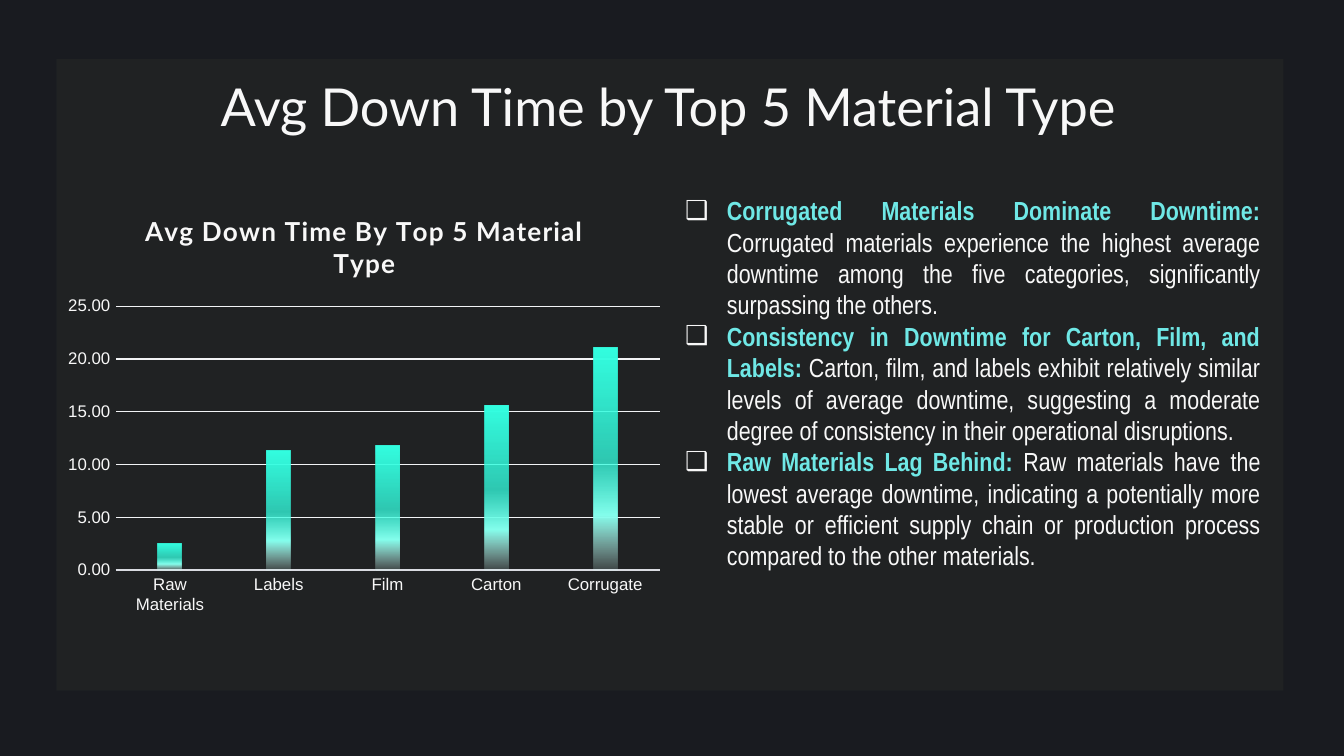
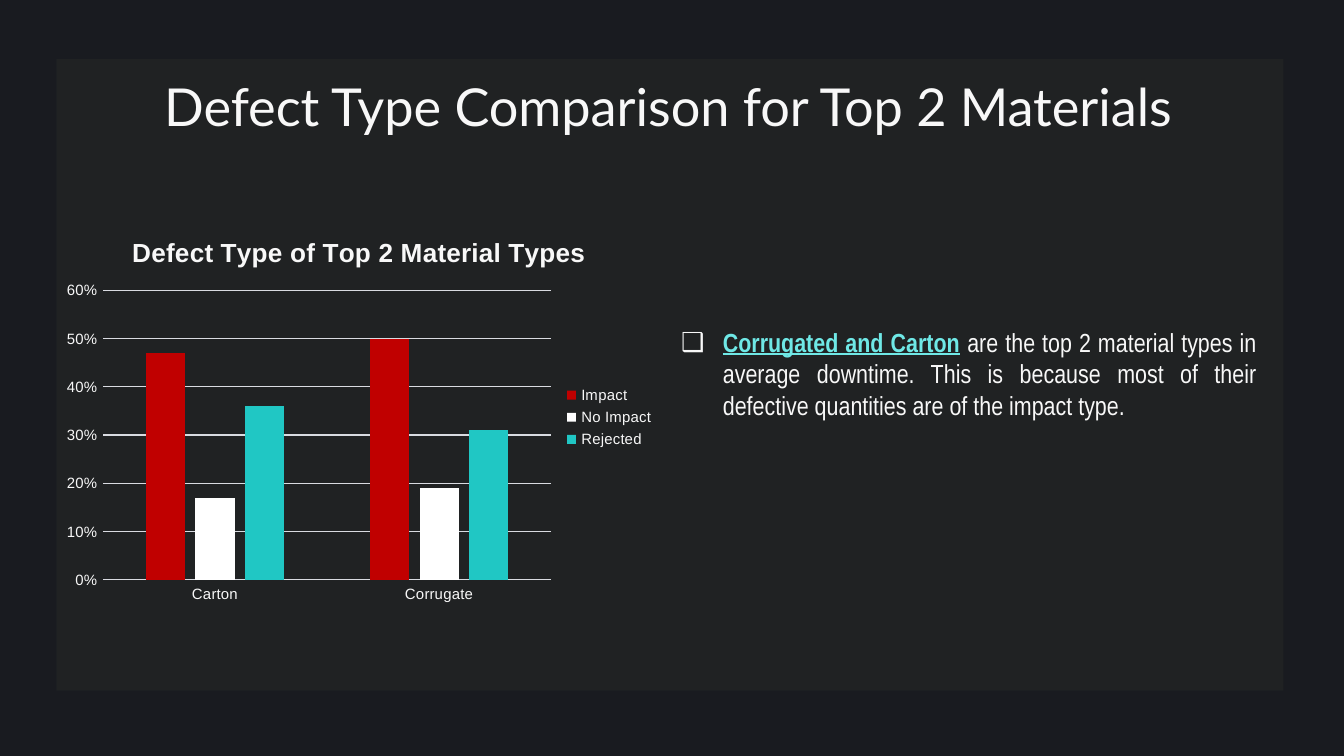
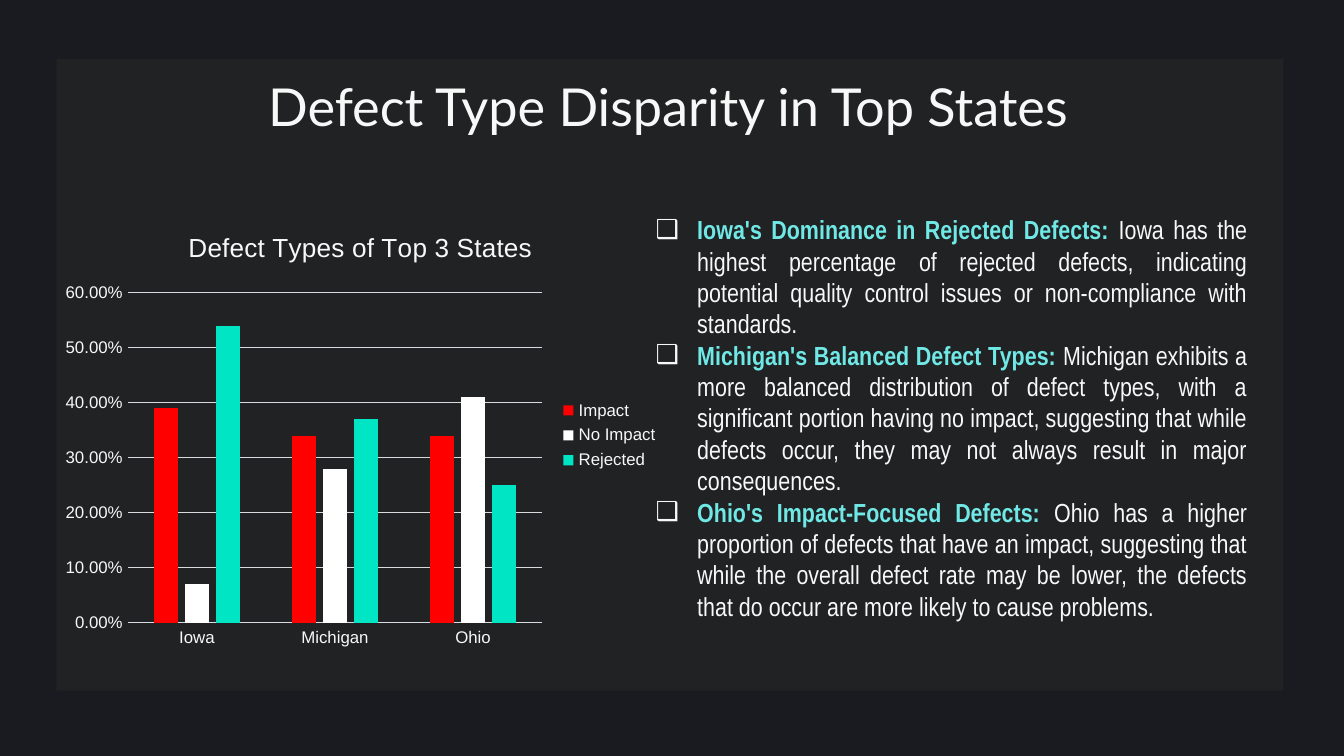
import dataclasses

import pptx
import pptx.chart.data
import pptx.dml.color
import pptx.enum.chart
import pptx.enum.shapes
import pptx.enum.text
import pptx.oxml.ns
import pptx.util
from lxml import etree
from pptx.util import Inches


@dataclasses.dataclass(frozen=True)
class Theme:
    background: str = "191B20"
    panel: str = "222525"
    panel_opacity: int = 78
    text: str = "F8F8F8"
    accent: str = "6FE8E6"
    grid: str = "D9DBE1"
    pale_grid: str = "F2F3F5"
    title_font: str = "Lato"
    chart_font: str = "Arial"
    body_font: str = "Arial Narrow"
    title_size: int = 28
    body_size: int = 14
    chart_title_size: int = 14
    label_size: int = 9
    small_label_size: int = 8


THEME = Theme()
# Position in the bar, colour, opacity (percent)
MINT_GRADIENT = [(0, "34FFE1", 100), (51, "34FFE1", 75), (75, "85FFED", 100), (100, "D6FFF9", 15)]


def color(code):
    return pptx.dml.color.RGBColor.from_string(code)


def add_element(parent, tag, **attributes):
    element = etree.SubElement(parent, pptx.oxml.ns.qn(tag))
    for name, value in attributes.items():
        element.set(name, str(value))
    return element


def set_layout(holder, **fractions):
    """Fix the place of a chart title or plot area as fractions of the chart."""
    for old in holder.findall(pptx.oxml.ns.qn("c:layout")):
        holder.remove(old)
    layout = etree.Element(pptx.oxml.ns.qn("c:layout"))
    manual = add_element(layout, "c:manualLayout")
    if "w" in fractions:
        add_element(manual, "c:layoutTarget", val="inner")
    for name in ("xMode", "yMode"):
        add_element(manual, f"c:{name}", val="edge")
    for name, value in fractions.items():
        add_element(manual, f"c:{name}", val=value)
    text = holder.find(pptx.oxml.ns.qn("c:tx"))
    holder.insert(0 if text is None else 1, layout)


class Builder:
    def __init__(self, theme):
        self.theme = theme
        self.deck = pptx.Presentation()
        self.deck.slide_width, self.deck.slide_height = Inches(10), Inches(10 * 9 / 16)
        self.slide = None

    def style(self, font, name, size, code=None, bold=False):
        font.name, font.size, font.bold = name, pptx.util.Pt(size), bold
        font.color.rgb = color(code or self.theme.text)

    def add_slide(self, title, title_height):
        self.slide = self.deck.slides.add_slide(self.deck.slide_layouts[6])
        fill = self.slide.background.fill
        fill.solid()
        fill.fore_color.rgb = color(self.theme.background)
        self.add_panel()
        self.add_title(title, title_height)

    def add_panel(self):
        panel = self.slide.shapes.add_shape(
            pptx.enum.shapes.MSO_SHAPE.RECTANGLE,
            Inches(0.42), Inches(0.44), Inches(9.13), Inches(4.7))
        panel.shadow.inherit = False
        panel.line.fill.background()
        panel.fill.solid()
        panel.fill.fore_color.rgb = color(self.theme.panel)
        tint = panel._element.spPr.find(".//" + pptx.oxml.ns.qn("a:srgbClr"))
        add_element(tint, "a:alpha", val=self.theme.panel_opacity * 1000)

    def add_title(self, title, height):
        box = self.slide.shapes.add_textbox(
            Inches(0.4), Inches(0.45), Inches(9.14), Inches(height))
        frame = box.text_frame
        frame.word_wrap = True
        frame.margin_top = frame.margin_bottom = Inches(0.1)
        frame.text = title
        para = frame.paragraphs[0]
        para.alignment = pptx.enum.text.PP_ALIGN.CENTER
        self.style(para.runs[0].font, self.theme.title_font, self.theme.title_size)

    def add_findings(self, place, findings, underline=False):
        """Bulleted text; each finding is a highlighted lead and its explanation."""
        box = self.slide.shapes.add_textbox(*map(Inches, place))
        frame = box.text_frame
        frame.word_wrap = True
        frame.auto_size = pptx.enum.text.MSO_AUTO_SIZE.SHAPE_TO_FIT_TEXT
        for index, (lead, explanation) in enumerate(findings):
            para = frame.add_paragraph() if index else frame.paragraphs[0]
            para.alignment = pptx.enum.text.PP_ALIGN.JUSTIFY
            self.add_bullet(para)
            for text, code, is_lead in ((lead, self.theme.accent, True),
                                        (f" {explanation}", self.theme.text, False)):
                span = para.add_run()
                span.text = text
                self.style(span.font, self.theme.body_font, self.theme.body_size, code, is_lead)
                span.font.underline = underline and is_lead

    def add_bullet(self, para):
        properties = para._p.get_or_add_pPr()
        properties.set("marL", str(Inches(0.31)))
        properties.set("indent", str(-Inches(0.31)))
        add_element(add_element(properties, "a:buClr"), "a:srgbClr", val=self.theme.text)
        add_element(properties, "a:buFont", typeface=self.theme.chart_font)
        add_element(properties, "a:buChar", char="❑")

    def add_column_chart(self, place, categories, series, top, step, number_format, plot,
                         gap=219, overlap=-27, size=None, grid=None, legend=True):
        """Series maps each name to its values and its colour or gradient stops."""
        size = size or self.theme.label_size
        data = pptx.chart.data.CategoryChartData()
        data.categories = categories
        for name, (values, _) in series.items():
            data.add_series(name, values)
        chart = self.slide.shapes.add_chart(
            pptx.enum.chart.XL_CHART_TYPE.COLUMN_CLUSTERED, *map(Inches, place), data).chart
        self.style(chart.font, self.theme.chart_font, size)
        columns = chart.plots[0]
        columns.gap_width, columns.overlap, columns.vary_by_categories = gap, overlap, False
        for item, (_, paint) in zip(columns.series, series.values()):
            self.paint_series(item, paint)

        # Axes and grid
        for axis in (chart.category_axis, chart.value_axis):
            axis.major_tick_mark = axis.minor_tick_mark = pptx.enum.chart.XL_TICK_MARK.NONE
            self.style(axis.tick_labels.font, self.theme.chart_font, size)
        scale = chart.value_axis
        scale.minimum_scale, scale.maximum_scale, scale.major_unit = 0, top, step
        scale.tick_labels.number_format = number_format
        scale.tick_labels.number_format_is_linked = False
        scale.format.line.fill.background()
        for line, code in ((chart.category_axis.format.line, self.theme.grid),
                           (scale.major_gridlines.format.line, grid or self.theme.grid)):
            line.color.rgb = color(code)
            line.width = pptx.util.Pt(0.75)

        # Legend and plot area
        chart.has_legend = legend
        if legend:
            chart.legend.position = pptx.enum.chart.XL_LEGEND_POSITION.RIGHT
            chart.legend.include_in_layout = False
            self.style(chart.legend.font, self.theme.chart_font, size)
        set_layout(chart._chartSpace.chart.plotArea, **dict(zip("xywh", plot)))
        return chart

    def paint_series(self, item, paint):
        fill = item.format.fill
        if isinstance(paint, str):
            fill.solid()
            fill.fore_color.rgb = color(paint)
            return
        fill.gradient()
        fill.gradient_angle = 270
        stops = item._element.find(".//" + pptx.oxml.ns.qn("a:gsLst"))
        for old in list(stops):
            stops.remove(old)
        for position, code, opacity in paint:
            stop = add_element(stops, "a:gs", pos=position * 1000)
            tint = add_element(stop, "a:srgbClr", val=code)
            add_element(tint, "a:alpha", val=opacity * 1000)

    def add_chart_title(self, chart, text, left, top, font=None, bold=False, spacing=0):
        chart.has_title = True
        title = chart.chart_title
        title.include_in_layout = False
        title.text_frame.text = text
        span = title.text_frame.paragraphs[0].runs[0]
        self.style(span.font, font or self.theme.chart_font, self.theme.chart_title_size, bold=bold)
        span._r.get_or_add_rPr().set("spc", str(spacing))
        set_layout(title._element, x=left, y=top)


def main():
    builder = Builder(THEME)

    # Downtime by material
    builder.add_slide("Avg Down Time by Top 5 Material Type", 0.63)
    builder.add_findings((5, 1.4, 4.48, 3.4), [
        ("Corrugated Materials Dominate Downtime:",
         "Corrugated materials experience the highest average downtime among the five "
         "categories, significantly surpassing the others."),
        ("Consistency in Downtime for Carton, Film, and Labels:",
         "Carton, film, and labels exhibit relatively similar levels of average downtime, "
         "suggesting a moderate degree of consistency in their operational disruptions."),
        ("Raw Materials Lag Behind:",
         "Raw materials have the lowest average downtime, indicating a potentially more stable "
         "or efficient supply chain or production process compared to the other materials."),
    ])
    chart = builder.add_column_chart(
        (0.4, 1.41, 4.6, 3.22), ["Raw Materials", "Labels", "Film", "Carton", "Corrugate"],
        {"Series 1": ([2.5, 11.3, 11.8, 15.6, 21.1], MINT_GRADIENT)},
        top=25, step=5, number_format="0.00", plot=(0.1, 0.27, 0.88, 0.61),
        gap=355, overlap=-70, grid=THEME.pale_grid, legend=False)
    builder.add_chart_title(chart, "Avg Down Time By Top 5 Material Type", 0.14, 0.04,
                            font=THEME.title_font, bold=True, spacing=50)

    # Defects by material
    builder.add_slide("Defect Type Comparison for Top 2 Materials", 1.04)
    builder.add_findings((4.97, 2.38, 4.48, 1.04), [
        ("Corrugated and Carton",
         "are the top 2 material types in average downtime. This is because most of their "
         "defective quantities are of the impact type."),
    ], underline=True)
    chart = builder.add_column_chart(
        (0.4, 1.63, 4.57, 2.95), ["Carton", "Corrugate"],
        {"Impact": ([0.47, 0.5], "C00000"),
         "No Impact": ([0.17, 0.19], "FFFFFF"),
         "Rejected": ([0.36, 0.31], "20C7C4")},
        top=0.6, step=0.1, number_format="0%", plot=(0.08, 0.18, 0.73, 0.73),
        size=THEME.small_label_size)
    builder.add_chart_title(chart, "Defect Type of Top 2 Material Types", 0.12, 0.03, bold=True)

    # Defects by state
    builder.add_slide("Defect Type Disparity in Top States", 0.78)
    builder.add_findings((4.78, 1.54, 4.6, 3.4), [
        ("Iowa's Dominance in Rejected Defects:",
         "Iowa has the highest percentage of rejected defects, indicating potential quality "
         "control issues or non-compliance with standards."),
        ("Michigan's Balanced Defect Types:",
         "Michigan exhibits a more balanced distribution of defect types, with a significant "
         "portion having no impact, suggesting that while defects occur, they may not always "
         "result in major consequences."),
        ("Ohio's Impact-Focused Defects:",
         "Ohio has a higher proportion of defects that have an impact, suggesting that while "
         "the overall defect rate may be lower, the defects that do occur are more likely to "
         "cause problems."),
    ])
    chart = builder.add_column_chart(
        (0.4, 1.58, 4.6, 3.32), ["Iowa", "Michigan", "Ohio"],
        {"Impact": ([0.39, 0.34, 0.34], "FF0000"),
         "No Impact": ([0.07, 0.28, 0.41], "FFFFFF"),
         "Rejected": ([0.54, 0.37, 0.25], "00E6C4")},
        top=0.6, step=0.1, number_format="0.00%", plot=(0.12, 0.18, 0.67, 0.74))
    builder.add_chart_title(chart, "Defect Types of Top 3 States", 0.21, 0.03)

    builder.deck.save("out.pptx")


if __name__ == "__main__":
    main()
